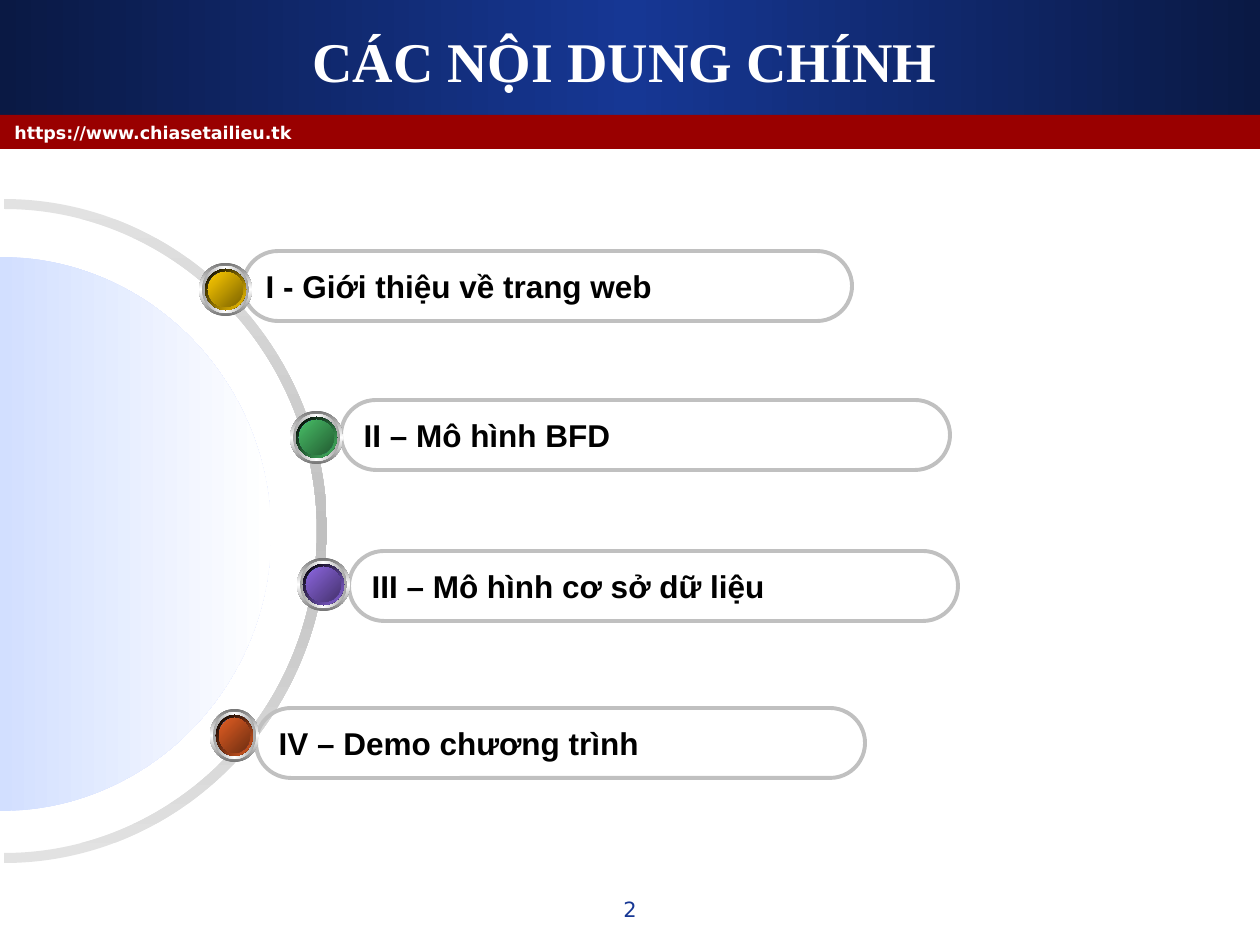
from lxml.etree import SubElement
from pptx import Presentation
from pptx.dml.color import RGBColor
from pptx.enum.shapes import MSO_SHAPE as Shape
from pptx.enum.text import MSO_ANCHOR as Anchor, PP_ALIGN as Align
from pptx.oxml.ns import qn
from pptx.util import Emu, Pt

SCALE = 914400 / 126
CURVE = 0.55
NAVY = RGBColor(0x0A, 0x19, 0x44)
BLUE = RGBColor(0x16, 0x37, 0x94)
RED = RGBColor(0x99, 0x00, 0x00)
WHITE = RGBColor(0xFF, 0xFF, 0xFF)
BLACK = RGBColor(0x00, 0x00, 0x00)
PALE_BLUE = RGBColor(0xD2, 0xDF, 0xFF)
SKY = RGBColor(0x66, 0x99, 0xFF)
STEEL = RGBColor(0x37, 0x53, 0x8A)
LIGHT_GREY = RGBColor(0xE2, 0xE2, 0xE2)
SILVER = RGBColor(0xC0, 0xC0, 0xC0)
MID_GREY = RGBColor(0xA2, 0xA2, 0xA2)
DARK_GREY = RGBColor(0x76, 0x76, 0x76)
GOLD, DARK_GOLD = RGBColor(0xFF, 0xCC, 0x00), RGBColor(0x7C, 0x63, 0x00)
GREEN, DARK_GREEN = RGBColor(0x48, 0xBE, 0x67), RGBColor(0x23, 0x5C, 0x32)
PURPLE, DARK_PURPLE = RGBColor(0x8D, 0x67, 0xE1), RGBColor(0x45, 0x32, 0x6D)
ORANGE, DARK_ORANGE = RGBColor(0xE3, 0x5E, 0x23), RGBColor(0x6E, 0x2E, 0x11)

ITEMS = [
    ("I - Giới thiệu về trang web", (243, 251), (199, 263, 53), GOLD, DARK_GOLD),
    ("II – Mô hình BFD", (341, 400), (290, 411, 53), GREEN, DARK_GREEN),
    ("III – Mô hình cơ sở dữ liệu", (349, 551), (297, 558, 53), PURPLE, DARK_PURPLE),
    ("IV – Demo chương trình", (256, 708), (210, 709, 49), ORANGE, DARK_ORANGE),
]


def px(*lengths):
    return [Emu(round(length * SCALE)) for length in lengths]


def set_gradient(shape, colors, angle):
    shape.fill.gradient()
    shape.fill.gradient_angle = -angle % 360
    stops = shape.element.spPr.find(qn("a:gradFill")).find(qn("a:gsLst"))
    stops.clear()
    for index, color in enumerate(colors):
        position = round(100000 * index / (len(colors) - 1))
        stop = SubElement(stops, qn("a:gs"), pos=str(position))
        SubElement(stop, qn("a:srgbClr"), val=str(color))


def finish(shape, colors=(), angle=0):
    shape.shadow.inherit = False
    shape.line.fill.background()
    if len(colors) > 1:
        set_gradient(shape, colors, angle)
    elif colors:
        shape.fill.solid()
        shape.fill.fore_color.rgb = colors[0]
    else:
        shape.fill.background()
    return shape


def add_preset(shapes, kind, box, colors=(), angle=0):
    return finish(shapes.add_shape(kind, *px(*box)), colors, angle)


def write_text(shape, text, size, font="DejaVu Sans", color=WHITE, bold=True,
               align=Align.LEFT, anchor=Anchor.TOP, wrap=True):
    frame = shape.text_frame
    frame.word_wrap = wrap
    frame.vertical_anchor = anchor
    paragraph = frame.paragraphs[0]
    paragraph.alignment = align
    run = paragraph.add_run()
    run.text = text
    run.font.size = Pt(size)
    run.font.name = font
    run.font.bold = bold
    run.font.color.rgb = color


def half_ellipse(left, middle, radius_x, radius_y):
    quarter = [(0, -1), (CURVE, -1), (1, -CURVE), (1, 0)]
    lower = [(x, -y) for x, y in quarter[-2::-1]]
    return [(left + radius_x * x, middle + radius_y * y) for x, y in quarter + lower]


def add_outline(shapes, points, colors, angle):
    corners = [px(*point) for point in points]
    builder = shapes.build_freeform(*corners[0])
    builder.add_line_segments(corners[1:], close=True)
    shape = builder.convert_to_shape()
    lines = list(shape.element.spPr.iter(qn("a:lnTo")))
    for half in range(0, len(lines), 7):
        for first in (half, half + 3):
            curve = SubElement(lines[first].getparent(), qn("a:cubicBezTo"))
            lines[first].addprevious(curve)
            for line in lines[first:first + 3]:
                curve.append(line[0])
                line.getparent().remove(line)
    return finish(shape, colors, angle)


def add_header(slide, left, top, width):
    shapes = slide.shapes
    add_preset(shapes, Shape.RECTANGLE, (left, top, width, 115), (NAVY, BLUE, NAVY))
    add_preset(shapes, Shape.RECTANGLE, (left, top + 115, width, 34), (RED,))
    address = shapes.add_textbox(*px(left + 2, top + 116, 1166, 32))
    write_text(address, "https://www.chiasetailieu.tk", 10)
    title = shapes.title
    title.left, title.top, title.width, title.height = px(left + 42, top + 21, 1165, 78)
    write_text(title, "CÁC NỘI DUNG CHÍNH", 32, font="Times New Roman",
               align=Align.CENTER, anchor=Anchor.MIDDLE)
    shapes.element.remove(title.element)
    shapes.element.append(title.element)


def add_dial(shapes, left, middle):
    outer = half_ellipse(left + 4, middle, 323, 332)
    inner = half_ellipse(left + 4, middle, 313, 322)
    add_outline(shapes, outer + inner[::-1], (LIGHT_GREY, SILVER, LIGHT_GREY), 90)
    disc = half_ellipse(left, middle + 3, 271, 277)
    add_outline(shapes, disc, (PALE_BLUE, WHITE), 0)


def add_pill(shapes, text, left, top):
    pill = add_preset(shapes, Shape.ROUNDED_RECTANGLE, (left, top, 609, 70))
    pill.adjustments[0] = 0.5
    pill.line.color.rgb = SILVER
    pill.line.width = Pt(2.25)
    write_text(pill, text, 18, font="Arial", color=BLACK, anchor=Anchor.MIDDLE,
               wrap=False)


def add_ball(shapes, left, top, width, color, dark_color):
    height = 53
    group = shapes.add_group_shape()
    layers = [
        (0, (DARK_GREY, WHITE, DARK_GREY), 90),
        (3, (MID_GREY, WHITE, MID_GREY), 0),
        (6, (WHITE, SKY, WHITE), 45),
        (6, (BLACK, color), 45),
        (9, (STEEL, SKY, STEEL), 315),
        (9, (color, dark_color), 45),
    ]
    for inset, colors, angle in layers:
        box = (left + inset, top + inset, width - 2 * inset, height - 2 * inset)
        add_preset(group.shapes, Shape.OVAL, box, colors, angle)


def add_page_number(shapes, left, top, width):
    box = shapes.add_textbox(*px(left, top, width, 44))
    write_text(box, "2", 12, color=BLUE, bold=False, align=Align.CENTER)


def main():
    presentation = Presentation()
    presentation.slide_width, presentation.slide_height = px(1260, 945)
    slide = presentation.slides.add_slide(presentation.slide_layouts[5])
    shapes = slide.shapes
    add_header(slide, 0, 0, 1260)
    add_dial(shapes, 0, 531)
    for text, corner, *_ in reversed(ITEMS):
        add_pill(shapes, text, *corner)
    for _, _, ball, color, dark_color in ITEMS:
        add_ball(shapes, *ball, color, dark_color)
    add_page_number(shapes, 483, 890, 294)
    presentation.save("out.pptx")


if __name__ == "__main__":
    main()
